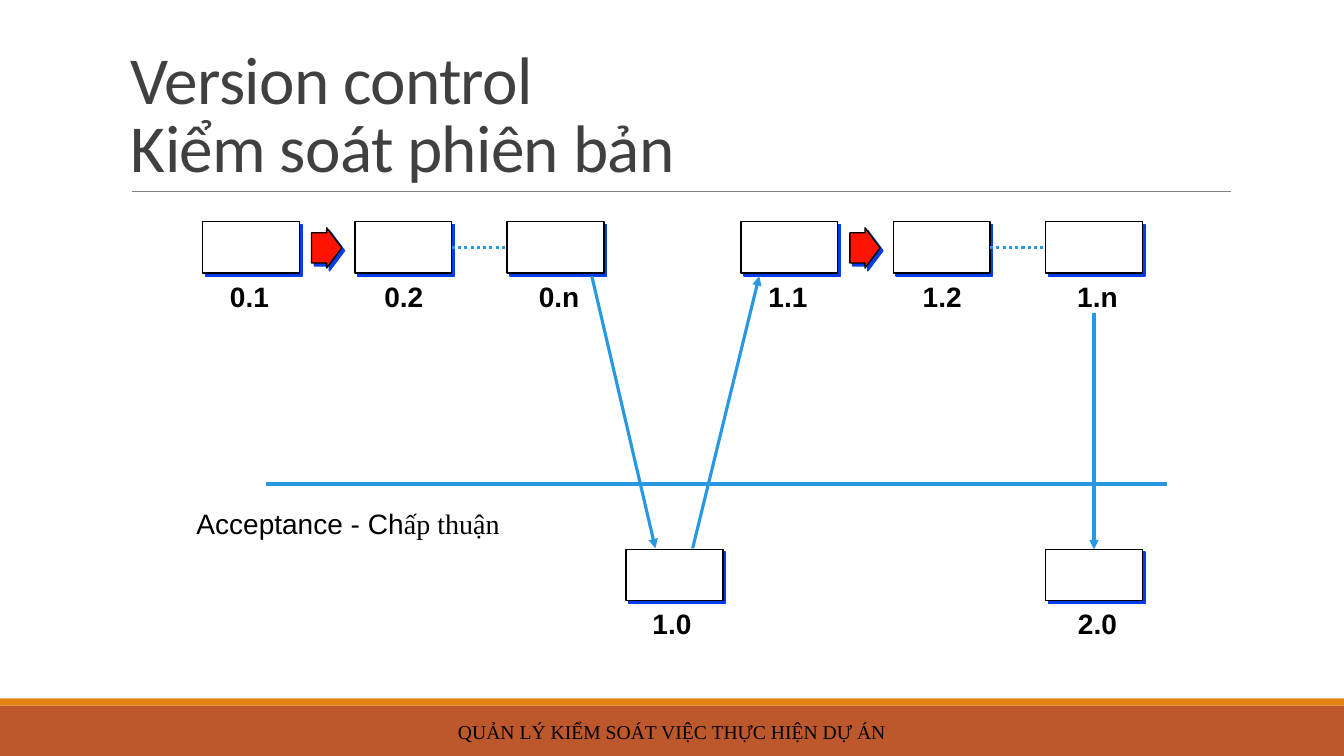
from pptx import Presentation
from pptx.dml.color import RGBColor
from pptx.enum.dml import MSO_LINE as Dash
from pptx.enum.shapes import MSO_CONNECTOR as Link, MSO_SHAPE as Preset
from pptx.enum.text import MSO_ANCHOR as Anchor, PP_ALIGN as Align
from pptx.oxml.ns import qn
from pptx.util import Inches, Pt
from lxml.etree import SubElement

TITLE = "Version control\nKiểm soát phiên bản"
FOOTER = "QUẢN LÝ KIỂM SOÁT VIỆC THỰC HIỆN DỰ ÁN"
ACCEPTANCE = [("Acceptance - Ch", "Arial"), ("ấp thuận", "Times New Roman")]
DRAFT_ROWS = [(2.01, ["0.1", "0.2", "0.n"]), (7.35, ["1.1", "1.2", "1.n"])]
LABEL_SHIFTS = [0.1, 0.12, 0.15]
RELEASES = [("1.0", 6.21, 0.09), ("2.0", 10.37, 0.15)]
HANDOVERS = [((5.87, 2.74), (6.5, 5.44)), ((6.87, 5.44), (7.53, 2.74))]
BANDS = [(7, 0.5, "rust"), (6.93, 0.07, "orange")]

DRAFT_TOP, RELEASE_TOP = 2.2, 5.45
BOX_W, BOX_H, BOX_STEP = 0.96, 0.51, 1.51
LABEL_W, LABEL_H, LABEL_DROP = 0.73, 0.4, 0.56
STEP_W, STEP_H, STEP_SHIFT, STEP_DROP = 0.3, 0.4, 1.08, 0.06
SLIDE_W, SLIDE_H = 13.33, 7.5

THEME = {
    "colors": {"rust": "BD582C", "orange": "E48312", "rule": "808080",
               "title": "404040", "ink": "000000", "paper": "FFFFFF",
               "flow": "2998E3", "step": "FF1301", "shadow": "063DE8"},
    "sizes": {"title": 48, "body": 20, "footer": 14},
}

deck = Presentation()
deck.slide_width, deck.slide_height = Inches(SLIDE_W), Inches(SLIDE_H)
slide = deck.slides.add_slide(deck.slide_layouts[6])


def color(name):
    return RGBColor.from_string(THEME["colors"][name])


def write(text, left, top, width, height, size="body", ink="ink", font="Arial",
          bold=False, align=Align.LEFT, anchor=Anchor.TOP, leading=0.9, tracking=0):
    frame = slide.shapes.add_textbox(*map(Inches, (left, top, width, height))).text_frame
    frame.word_wrap = True
    frame.vertical_anchor = anchor
    paragraph = frame.paragraphs[0]
    paragraph.alignment, paragraph.line_spacing = align, leading
    for part, face in [(text, font)] if isinstance(text, str) else text:
        for index, line in enumerate(part.split("\n")):
            if index:
                paragraph.add_line_break()
            run = paragraph.add_run()
            run.text = line
            run.font.name, run.font.bold = face, bold
            run.font.size = Pt(THEME["sizes"][size])
            run.font.color.rgb = color(ink)
            if tracking:
                run.font._element.set("spc", str(int(tracking * 100)))


def draw(preset, left, top, width, height, fill, shadowed=True):
    shape = slide.shapes.add_shape(preset, *map(Inches, (left, top, width, height)))
    shape.fill.solid()
    shape.fill.fore_color.rgb = color(fill)
    shape.shadow.inherit = False
    if not shadowed:
        shape.line.fill.background()
        return shape
    shape.line.color.rgb = color("ink")
    shape.line.width = Pt(1)
    effects = shape._element.spPr.find(qn("a:effectLst"))
    shadow = SubElement(effects, qn("a:outerShdw"), blurRad="0", dist=str(Pt(2.8)),
                        dir="2700000", algn="ctr", rotWithShape="0")
    SubElement(shadow, qn("a:srgbClr"), val=THEME["colors"]["shadow"])
    return shape


def connect(start, end, ink="flow", weight=2.25, dash=None, arrow=False):
    line = slide.shapes.add_connector(Link.STRAIGHT, *map(Inches, (*start, *end)))
    line.line.color.rgb = color(ink)
    line.line.width = Pt(weight)
    if dash:
        line.line.dash_style = dash
    if arrow:
        SubElement(line.line._get_or_add_ln(), qn("a:tailEnd"), type="triangle")
    SubElement(line._element.spPr, qn("a:effectLst"))
    return line


def version(label, left, top, label_shift):
    box = draw(Preset.RECTANGLE, left, top, BOX_W, BOX_H, "paper")
    write(label, left + label_shift, top + LABEL_DROP, LABEL_W, LABEL_H,
          bold=True, align=Align.CENTER)
    return box


for top, height, fill in BANDS:
    draw(Preset.RECTANGLE, 0, top, SLIDE_W, height, fill, shadowed=False)
connect((1.31, 1.9), (12.21, 1.9), ink="rule", weight=0.5)
write(FOOTER, 4.03, 7.06, 5.27, 0.4, size="footer", font="Times New Roman",
      align=Align.CENTER, anchor=Anchor.MIDDLE, leading=1.0)
write(TITLE, 1.2, 0.31, 11, 1.59, size="title", ink="title", font="Calibri",
      anchor=Anchor.BOTTOM, leading=0.85, tracking=-0.5)

for row_left, labels in DRAFT_ROWS:
    lefts = [row_left + i * BOX_STEP for i in range(len(labels))]
    drafts = [version(label, left, DRAFT_TOP, shift)
              for label, left, shift in zip(labels, lefts, LABEL_SHIFTS)]
    step = draw(Preset.RIGHT_ARROW, row_left + STEP_SHIFT, DRAFT_TOP + STEP_DROP,
                STEP_W, STEP_H, "step")
    step.adjustments[0], step.adjustments[1] = 0.75, 0.5
    middle = DRAFT_TOP + BOX_H / 2
    dots = connect((lefts[1] + BOX_W, middle), (lefts[2], middle), dash=Dash.ROUND_DOT)
    dots.begin_connect(drafts[1], 3)
    dots.end_connect(drafts[2], 1)

releases = [version(label, left, RELEASE_TOP, shift) for label, left, shift in RELEASES]

connect((2.64, 4.8), (11.57, 4.8), weight=3)
write(ACCEPTANCE, 1.85, 5.01, 3.45, 0.4)
for start, end in HANDOVERS:
    connect(start, end, arrow=True)
final_x = RELEASES[1][1] + BOX_W / 2
final = connect((final_x, 3.11), (final_x, RELEASE_TOP), arrow=True)
final.end_connect(releases[1], 0)

deck.save("out.pptx")
